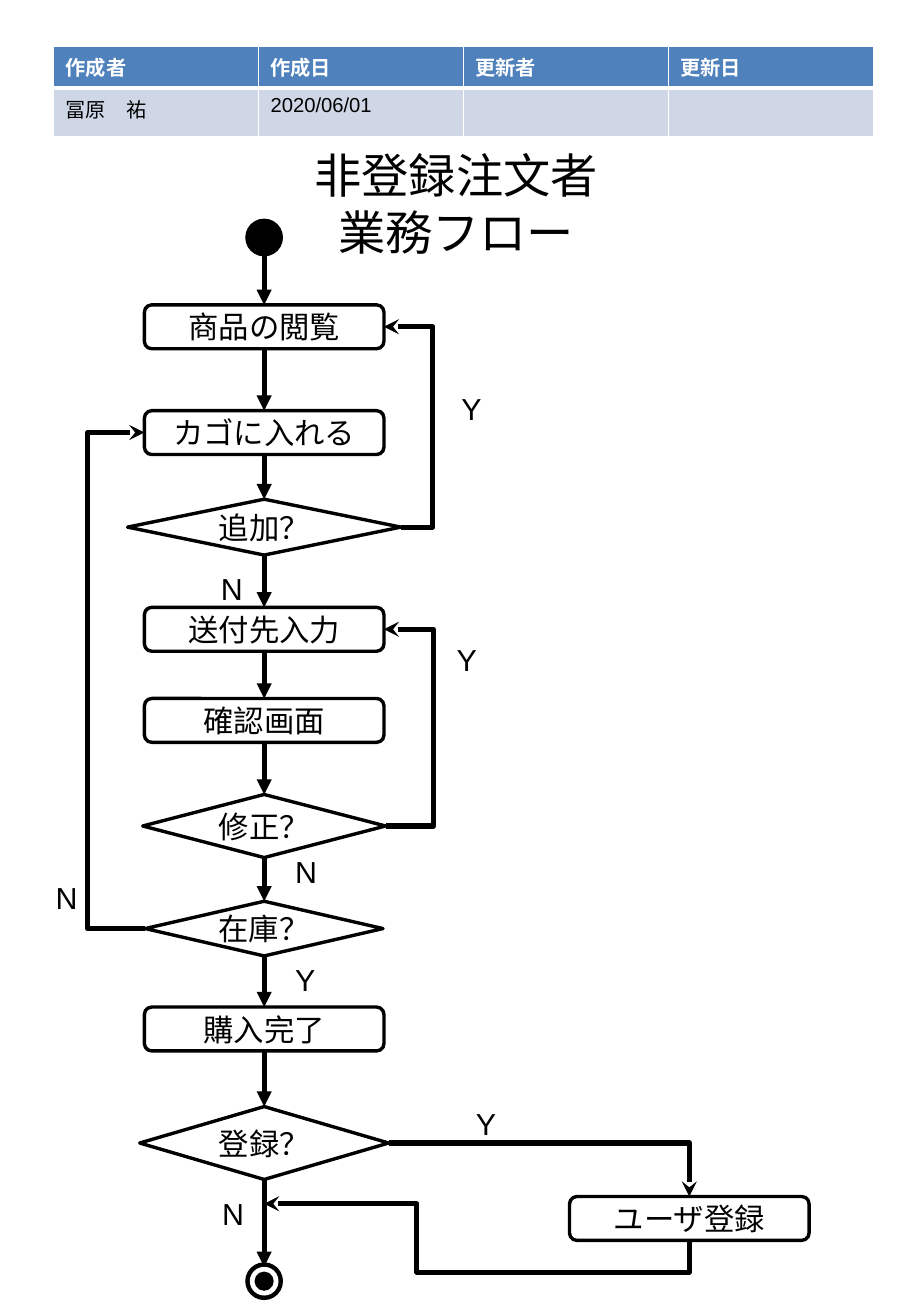
from lxml import etree
from pptx import Presentation
from pptx import util as u
from pptx.dml.color import RGBColor
from pptx.enum import shapes, text
from pptx.oxml import ns

COLORS = {"ink": "000000", "paper": "FFFFFF", "header": "4F81BD", "band": "CFD7E7"}
TITLE = "非登録注文者\v業務フロー"
TABLE_ROWS = [("作成者", "作成日", "更新者", "更新日"), ("冨原　祐", "2020/06/01", "", "")]
ROW_HEIGHTS = (18.7, 21.6)
COLUMN_WIDTH = 121.5

MAIN_X, USER_X = 156.6, 408.6
STEP_SIZE = (142, 26)
# name: centre x, top
STEPS = {
    "商品の閲覧": (MAIN_X, 180.7), "カゴに入れる": (MAIN_X, 243.4),
    "送付先入力": (MAIN_X, 360), "確認画面": (MAIN_X, 414),
    "購入完了": (MAIN_X, 596.9), "ユーザ登録": (USER_X, 709.2),
}
# name: top, width, height
DECISIONS = {
    "追加？": (295.9, 162, 33.1), "修正？": (470.9, 144, 37.4),
    "在庫？": (534.2, 141, 32.4), "登録？": (655.9, 147.6, 43.2),
}
FLOW = ["start", "商品の閲覧", "カゴに入れる", "追加？", "送付先入力", "確認画面",
        "修正？", "在庫？", "購入完了", "登録？", "end"]
# from, to, side, x of the vertical run
LOOPS = [("追加？", "商品の閲覧", "right", 256.5), ("修正？", "送付先入力", "right", 257.2),
         ("在庫？", "カゴに入れる", "left", 52.6)]
MERGE_Y, RETURN_Y, RETURN_X = 713.5, 754, 247
# answer, left, top
LABELS = [("Y", 266.4, 223.9), ("N", 123.8, 330.5), ("Y", 263.5, 373),
          ("N", 167.8, 498.2), ("Y", 275, 648), ("N", 124.6, 701.3),
          ("Y", 167.8, 562.3), ("N", 25.9, 514.1)]
LABEL_SIZE = (60, 20.2)
START_Y, END_Y = 140.8, 759.4
START_SIZE = 22.4
# diameter, colour
END_RINGS = [(22.4, "ink"), (17, "paper"), (11.4, "ink")]

SITES = {"top": 0, "bottom": 2}


def rgb(name):
    return RGBColor.from_string(COLORS[name])


def apply(target, values):
    for name, value in values.items():
        setattr(target, name, value)


def write(frame, content, size, font, color="ink", bold=False, align=None):
    frame.text = content
    for paragraph in frame.paragraphs:
        paragraph.alignment = align
        for run in paragraph.runs:
            apply(run.font, {"size": u.Pt(size), "name": font, "bold": bold})
            run.font.color.rgb = rgb(color)


def add_box(parent, kind, center_x, top, width, height, fill="paper", line=None):
    shape = parent.add_shape(kind, u.Pt(center_x - width / 2), u.Pt(top),
                             u.Pt(width), u.Pt(height))
    shape.shadow.inherit = False
    shape.fill.solid()
    shape.fill.fore_color.rgb = rgb(fill)
    if line:
        shape.line.color.rgb = rgb(line)
        shape.line.width = u.Pt(2)
    else:
        shape.line.fill.background()
    return shape


def add_circle(parent, center_y, size, color):
    return add_box(parent, shapes.MSO_SHAPE.OVAL, MAIN_X, center_y - size / 2,
                   size, size, color)


def add_node(name, kind, *place):
    shape = add_box(slide.shapes, kind, *place, line="ink")
    apply(shape.text_frame, {"word_wrap": True, "vertical_anchor": text.MSO_ANCHOR.MIDDLE})
    write(shape.text_frame, name, 18, "Calibri", align=text.PP_ALIGN.CENTER)
    return shape


def edge(name, side):
    shape = nodes[name]
    across = {"left": 0, "right": 1}.get(side, 0.5)
    down = {"top": 0, "bottom": 1}.get(side, 0.5)
    return ((shape.left + across * shape.width) / u.Pt(1),
            (shape.top + down * shape.height) / u.Pt(1))


def add_arrow(start, end, head, preset="straightConnector1", bends=(), turn=0):
    straight = preset == "straightConnector1"
    kind = shapes.MSO_CONNECTOR.STRAIGHT if straight else shapes.MSO_CONNECTOR.ELBOW
    connector = slide.shapes.add_connector(kind, *(u.Pt(value) for value in (*start, *end)))
    connector.line.color.rgb = rgb("ink")
    connector.line.width = u.Pt(3)
    properties = connector._element.spPr
    etree.SubElement(properties.find(ns.qn("a:ln")), ns.qn("a:tailEnd"), type=head)
    etree.SubElement(properties, ns.qn("a:effectLst"))
    geometry = properties.find(ns.qn("a:prstGeom"))
    geometry.set("prst", preset)
    guides = geometry.find(ns.qn("a:avLst"))
    for number, bend in enumerate(bends, 1):
        etree.SubElement(guides, ns.qn("a:gd"), name=f"adj{number}",
                         fmla=f"val {round(bend * 100000)}")
    if turn:
        properties.find(ns.qn("a:xfrm")).set("rot", str(turn * 60000))
    return connector


def set_borders(cell, bottom):
    properties = cell._tc.get_or_add_tcPr()
    for position, (side, width) in enumerate(
            {"lnL": 1, "lnR": 1, "lnT": 1, "lnB": bottom}.items()):
        line = etree.Element(ns.qn(f"a:{side}"), w=str(u.Pt(width)))
        fill = etree.SubElement(line, ns.qn("a:solidFill"))
        etree.SubElement(fill, ns.qn("a:srgbClr"), val=COLORS["paper"])
        properties.insert(position, line)


presentation = Presentation()
apply(presentation, {"slide_width": u.Pt(540), "slide_height": u.Pt(780)})
slide = presentation.slides.add_slide(presentation.slide_layouts[5])

# Title
title = slide.shapes.title
apply(title, {"left": u.Pt(27.4), "top": u.Pt(55.4), "width": u.Pt(486), "height": u.Pt(130.3)})
apply(title.text_frame, {"vertical_anchor": text.MSO_ANCHOR.MIDDLE, "word_wrap": True,
                         "auto_size": text.MSO_AUTO_SIZE.NONE})
write(title.text_frame, TITLE, 28, "Calibri", align=text.PP_ALIGN.CENTER)

# Revision table
table = slide.shapes.add_table(2, 4, u.Pt(31.7), u.Pt(27.4), u.Pt(4 * COLUMN_WIDTH),
                               u.Pt(sum(ROW_HEIGHTS))).table
for column in table.columns:
    column.width = u.Pt(COLUMN_WIDTH)
for row, (values, height) in enumerate(zip(TABLE_ROWS, ROW_HEIGHTS)):
    table.rows[row].height = u.Pt(height)
    header = row == 0
    for column, value in enumerate(values):
        cell = table.cell(row, column)
        write(cell.text_frame, value, 12, "Arial", "paper" if header else "ink", header)
        cell.fill.solid()
        cell.fill.fore_color.rgb = rgb("header" if header else "band")
        set_borders(cell, 3 if header else 1)

# Steps, decisions and end points
nodes = {}
for name, place in STEPS.items():
    nodes[name] = add_node(name, shapes.MSO_SHAPE.ROUNDED_RECTANGLE, *place, *STEP_SIZE)
for name, place in DECISIONS.items():
    nodes[name] = add_node(name, shapes.MSO_SHAPE.FLOWCHART_DECISION, MAIN_X, *place)
nodes["start"] = add_circle(slide.shapes, START_Y, START_SIZE, "ink")
end_mark = slide.shapes.add_group_shape()
rings = [add_circle(end_mark.shapes, END_Y, size, color) for size, color in END_RINGS]
nodes["end"] = rings[1]

# Main flow
for source, target in zip(FLOW, FLOW[1:]):
    arrow = add_arrow(edge(source, "bottom"), edge(target, "top"), "triangle")
    if source != "start":
        arrow.begin_connect(nodes[source], SITES["bottom"])
    arrow.end_connect(nodes[target], SITES["top"])

# Loops back and the registration branch
for source, target, side, run_x in LOOPS:
    start, end = edge(source, side), edge(target, side)
    add_arrow(start, end, "stealth", "bentConnector3",
              [(run_x - start[0]) / (end[0] - start[0])])
add_arrow(edge("登録？", "right"), edge("ユーザ登録", "top"), "stealth", "bentConnector2")

# The return path is a connector turned a quarter about its centre
leave_x, leave_y = edge("ユーザ登録", "bottom")
center_x, center_y = (leave_x + MAIN_X) / 2, (leave_y + MERGE_Y) / 2
half_width, half_height = (leave_y - MERGE_Y) / 2, (leave_x - MAIN_X) / 2
add_arrow((center_x + half_width, center_y - half_height),
          (center_x - half_width, center_y + half_height), "stealth", "bentConnector4",
          [(RETURN_Y - leave_y) / (MERGE_Y - leave_y),
           (RETURN_X - leave_x) / (MAIN_X - leave_x)], 90)

# Answers
for answer, left, top in LABELS:
    frame = slide.shapes.add_textbox(u.Pt(left), u.Pt(top),
                                     *(u.Pt(size) for size in LABEL_SIZE)).text_frame
    apply(frame, {"word_wrap": True, **{f"margin_{side}": u.Pt(7.2) for side in
                                        ("left", "top", "right", "bottom")}})
    write(frame, answer, 18, "Arial")

presentation.save("out.pptx")
